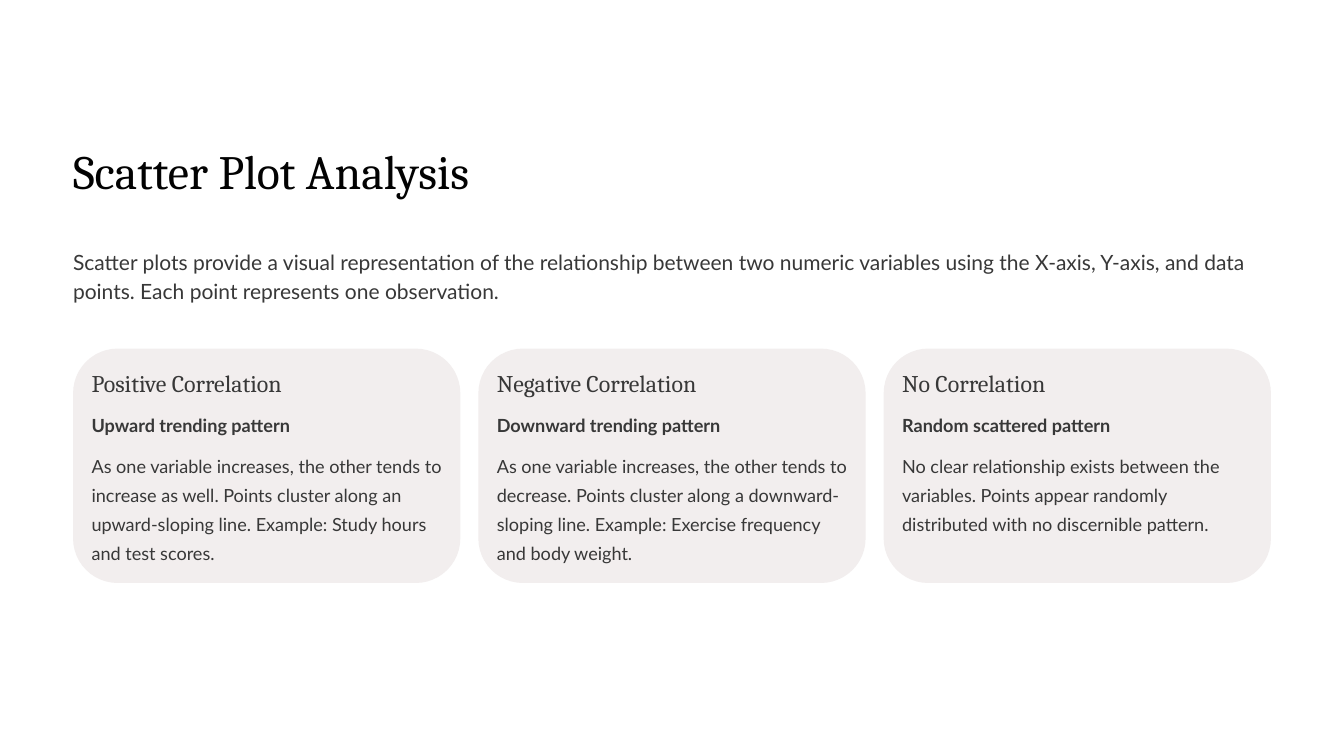
"""Build the scatter plot analysis slide with three correlation cards."""
import pptx
import pptx.util
import pptx.dml.color
import pptx.enum.shapes
import pptx.enum.text

TITLE = "Scatter Plot Analysis"
INTRO = (
    "Scatter plots provide a visual representation of the relationship between "
    "two numeric variables using the X-axis, Y-axis, and data points. "
    "Each point represents one observation."
)
CARDS = [
    (
        "Positive Correlation",
        "Upward trending pattern",
        "As one variable increases, the other tends to increase as well. Points "
        "cluster along an upward-sloping line. Example: Study hours and test scores.",
    ),
    (
        "Negative Correlation",
        "Downward trending pattern",
        "As one variable increases, the other tends to decrease. Points cluster along "
        "a downward-sloping line. Example: Exercise frequency and body weight.",
    ),
    (
        "No Correlation",
        "Random scattered pattern",
        "No clear relationship exists between the variables. Points appear randomly "
        "distributed with no discernible pattern.",
    ),
]
COLORS = {"page": "FFFFFF", "title": "020202", "text": "383838", "card": "F2EEEE"}
HEAD, BODY = "Cambria", "Lato"

WIDE, HIGH = 16, 9
EDGE = 0.87
SPAN = WIDE - 2 * EDGE
CARD_W, CARD_H, CARD_TOP = 4.61, 2.79, 4.15
STEP = (SPAN - CARD_W) / (len(CARDS) - 1)
PAD = 0.22

Inches = pptx.util.Inches
Pt = pptx.util.Pt


def color(name):
    return pptx.dml.color.RGBColor.from_string(COLORS[name])


def write(slide, text, left, top, width, height, *, size, font=BODY,
          tone="text", bold=False, line=25, wrap=True):
    box = slide.shapes.add_textbox(*map(Inches, (left, top, width, height)))
    frame = box.text_frame
    frame.margin_left = frame.margin_right = 0
    frame.margin_top = frame.margin_bottom = 0
    frame.vertical_anchor = pptx.enum.text.MSO_ANCHOR.TOP
    frame.word_wrap = wrap
    para = frame.paragraphs[0]
    para.line_spacing = Pt(line)
    run = para.add_run()
    run.text = text
    run.font.name = font
    run.font.size = Pt(size)
    run.font.bold = bold
    run.font.color.rgb = color(tone)


def add_card(slide, left, name, trend, detail):
    card = slide.shapes.add_shape(
        pptx.enum.shapes.MSO_SHAPE.ROUNDED_RECTANGLE,
        *map(Inches, (left, CARD_TOP, CARD_W, CARD_H)),
    )
    card.adjustments[0] = 0.19
    card.shadow.inherit = False
    card.fill.solid()
    card.fill.fore_color.rgb = color("card")
    card.line.fill.background()
    inner, width = left + PAD, CARD_W - 2 * PAD
    top = CARD_TOP + PAD
    write(slide, name, inner, top, width, 0.36,
          size=20.5, font=HEAD, line=25.5, wrap=False)
    write(slide, trend, inner, top + 0.48, width, 0.35,
          size=15.5, bold=True, wrap=False)
    write(slide, detail, inner, top + 0.96, width, 1.39, size=15.5)


def main():
    deck = pptx.Presentation()
    deck.slide_width, deck.slide_height = Inches(WIDE), Inches(HIGH)
    slide = deck.slides.add_slide(deck.slide_layouts[6])
    slide.background.fill.solid()
    slide.background.fill.fore_color.rgb = color("page")
    write(slide, TITLE, EDGE, 1.66, 5.7, 0.71,
          size=41, font=HEAD, tone="title", line=51, wrap=False)
    write(slide, INTRO, EDGE, 2.92, SPAN, 0.69, size=18)
    for index, card in enumerate(CARDS):
        add_card(slide, EDGE + index * STEP, *card)
    deck.save("out.pptx")


if __name__ == "__main__":
    main()
